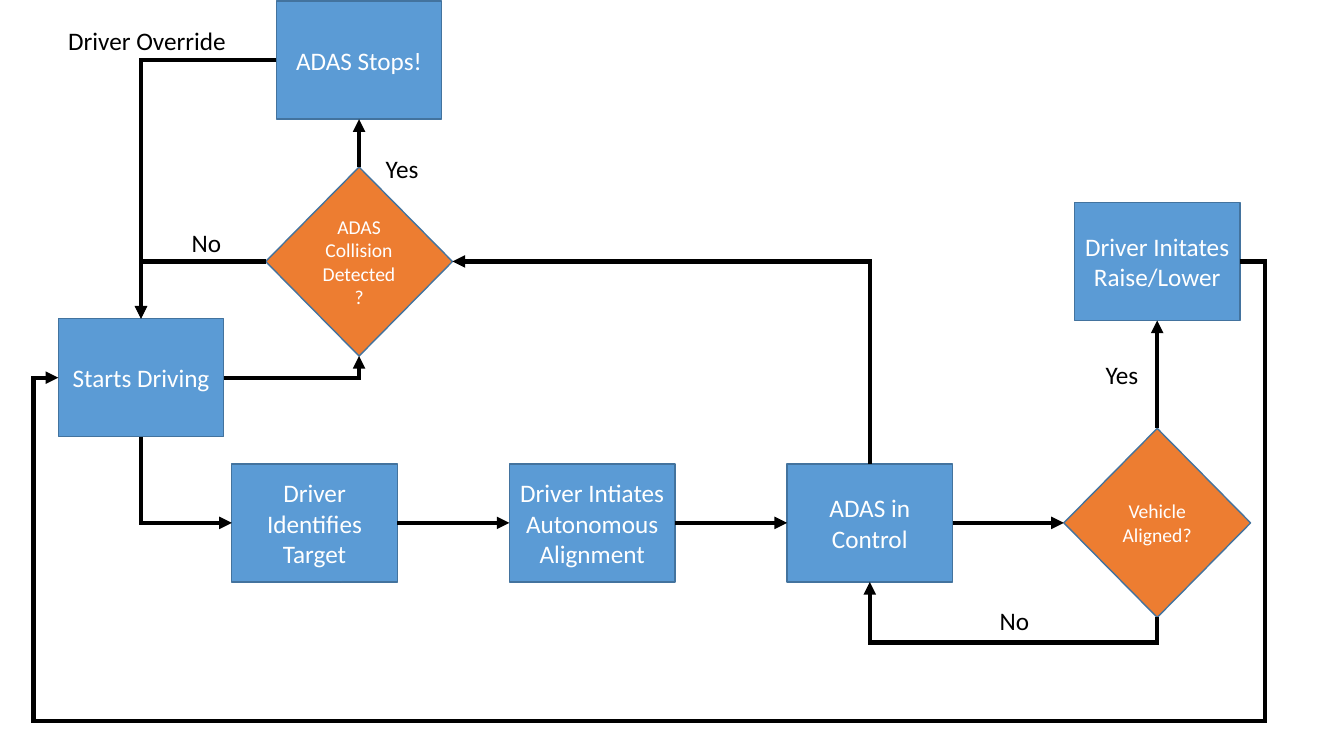
from dataclasses import dataclass

from pptx import Presentation
from pptx.dml.color import RGBColor
from pptx.enum.shapes import MSO_CONNECTOR as Link, MSO_SHAPE as Preset
from pptx.enum.text import MSO_ANCHOR as Anchor, MSO_AUTO_SIZE as Fit, PP_ALIGN as Align
from pptx.oxml.ns import qn
from pptx.oxml.xmlchemy import OxmlElement as Element
from pptx.util import Pt

TOP, LEFT, BOTTOM, RIGHT = range(4)


@dataclass(frozen=True)
class Theme:
    """Colours, type sizes and line widths of the flowchart."""
    font: str = "Calibri"
    step_fill: str = "5B9BD5"
    decision_fill: str = "ED7D31"
    outline: str = "43739E"
    ink: str = "000000"
    paper: str = "FFFFFF"
    body: int = 18
    small: int = 14
    outline_width: int = 1
    arrow_width: int = 3
    step_size: tuple = (118.2, 84.4)
    decision_size: tuple = (133.4, 135)


def color(code):
    """Turn a hex code into a colour."""
    return RGBColor.from_string(code)


def set_all(target, values):
    """Set every attribute named in a dict."""
    for name, value in values.items():
        setattr(target, name, value)


class Flowchart:
    """Draws flowchart elements on one slide in one style."""

    def __init__(self, page, theme):
        """Keep the slide and the style."""
        self.page, self.theme = page, theme

    def add_words(self, shape, text, size, code, align):
        """Put one formatted paragraph in a shape."""
        para = shape.text_frame.paragraphs[0]
        para.alignment = align
        span = para.add_run()
        span.text = text
        set_all(span.font, {"name": self.theme.font, "size": Pt(size)})
        span.font.color.rgb = color(code)

    def node(self, preset, text, center, extent, fill, size):
        """Add a filled shape around a centre point."""
        (x, y), (width, height) = center, extent
        box = self.page.shapes.add_shape(
            preset, Pt(x - width / 2), Pt(y - height / 2), Pt(width), Pt(height))
        box.shadow.inherit = False
        box.fill.solid()
        box.fill.fore_color.rgb = color(fill)
        box.line.color.rgb = color(self.theme.outline)
        box.line.width = Pt(self.theme.outline_width)
        set_all(box.text_frame, {"word_wrap": True, "vertical_anchor": Anchor.MIDDLE})
        self.add_words(box, text, size, self.theme.paper, Align.CENTER)
        return box

    def step(self, text, *center):
        """Add a rectangular process step."""
        look = self.theme
        return self.node(Preset.RECTANGLE, text, center, look.step_size, look.step_fill, look.body)

    def decision(self, text, *center):
        """Add a diamond decision."""
        look = self.theme
        return self.node(Preset.DIAMOND, text, center, look.decision_size,
                         look.decision_fill, look.small)

    def label(self, text, left, top, width):
        """Add an unwrapped caption beside an arrow."""
        box = self.page.shapes.add_textbox(Pt(left), Pt(top), Pt(width), Pt(29))
        set_all(box.text_frame, {"word_wrap": False, "auto_size": Fit.SHAPE_TO_FIT_TEXT})
        self.add_words(box, text, self.theme.body, self.theme.ink, Align.LEFT)

    def arrow(self, start, start_side, end, end_side, bends=()):
        """Glue an arrow between two nodes; bends are the x and y of its inner legs."""
        arrow = self.page.shapes.add_connector(Link.STRAIGHT, 0, 0, 0, 0)
        arrow.begin_connect(start, start_side)
        arrow.end_connect(end, end_side)
        if bends or min(arrow.width, arrow.height) > Pt(1):
            self.bend(arrow, start_side in (TOP, BOTTOM), bends)
        arrow.line.color.rgb = color(self.theme.ink)
        arrow.line.width = Pt(self.theme.arrow_width)
        line = arrow.element.spPr.find(qn("a:ln"))
        for tag, name, value in (("a:miter", "lim", "800000"), ("a:tailEnd", "type", "triangle")):
            part = Element(tag)
            part.set(name, value)
            line.append(part)
        arrow.element.spPr.append(Element("a:effectLst"))

    def bend(self, arrow, upright, bends):
        """Turn a straight connector into an elbow, leaving upright or level."""
        first = (arrow.begin_x, arrow.begin_y)
        last = (arrow.end_x, arrow.end_y)
        geometry = arrow.element.spPr.find(qn("a:prstGeom"))
        geometry.set("prst", f"bentConnector{len(bends) + 2}")
        guides = geometry.get_or_add_avLst()
        for index, place in enumerate(bends):
            axis = (index + upright) % 2
            share = (Pt(place) - first[axis]) / (last[axis] - first[axis])
            guide = Element("a:gd")
            guide.set("name", f"adj{index + 1}")
            guide.set("fmla", f"val {round(share * 100000)}")
            guides.append(guide)
        if upright:
            width, height = arrow.height, arrow.width
            set_all(arrow, {"left": (first[0] + last[0] - width) // 2,
                            "top": (first[1] + last[1] - height) // 2,
                            "width": width, "height": height})
            frame = arrow.element.spPr.find(qn("a:xfrm"))
            frame.set("rot", str(270 * 60000))
            frame.set("flipH", str(int(last[1] > first[1])))
            frame.set("flipV", str(int(last[0] < first[0])))


def build():
    """Build and save the driver assistance flowchart."""
    deck = Presentation()
    set_all(deck, {"slide_width": Pt(960), "slide_height": Pt(540)})
    chart = Flowchart(deck.slides.add_slide(deck.slide_layouts[6]), Theme())

    start_x, check_x, align_x = 100.8, 256.5, 826.6
    check_y, main_y = 186.8, 373.5
    first_x, gap = 224.7, 198.3
    driving = chart.step("Starts Driving", start_x, 269.8)
    stops = chart.step("ADAS Stops!", check_x, 42.9)
    collision = chart.decision("ADAS Collision Detected?", check_x, check_y)
    target, alignment, control = [
        chart.step(text, first_x + index * gap, main_y)
        for index, text in enumerate((
            "Driver Identifies Target",
            "Driver Intiates Autonomous Alignment",
            "ADAS in Control"))]
    aligned = chart.decision("Vehicle Aligned?", align_x, main_y)
    raising = chart.step("Driver Initates Raise/Lower", align_x, check_y)

    row = (target, alignment, control, aligned)
    for before, after in zip(row, row[1:]):
        chart.arrow(before, RIGHT, after, LEFT)
    for link in (
            (driving, RIGHT, collision, BOTTOM),
            (stops, LEFT, driving, TOP),
            (driving, BOTTOM, target, LEFT),
            (collision, TOP, stops, BOTTOM),
            (collision, LEFT, driving, TOP),
            (aligned, TOP, raising, BOTTOM),
            (control, TOP, collision, RIGHT),
            (aligned, BOTTOM, control, BOTTOM, (459,)),
            (raising, RIGHT, driving, LEFT, (903.7, 514.8, 23.7))):
        chart.arrow(*link)

    for caption in (
            ("Driver Override", 41.6, 14.6, 128),
            ("Yes", 268.4, 106, 38),
            ("No", 129.8, 159, 36),
            ("Yes", 782.6, 253, 38),
            ("No", 707, 428.6, 36)):
        chart.label(*caption)
    deck.save("out.pptx")


build()
